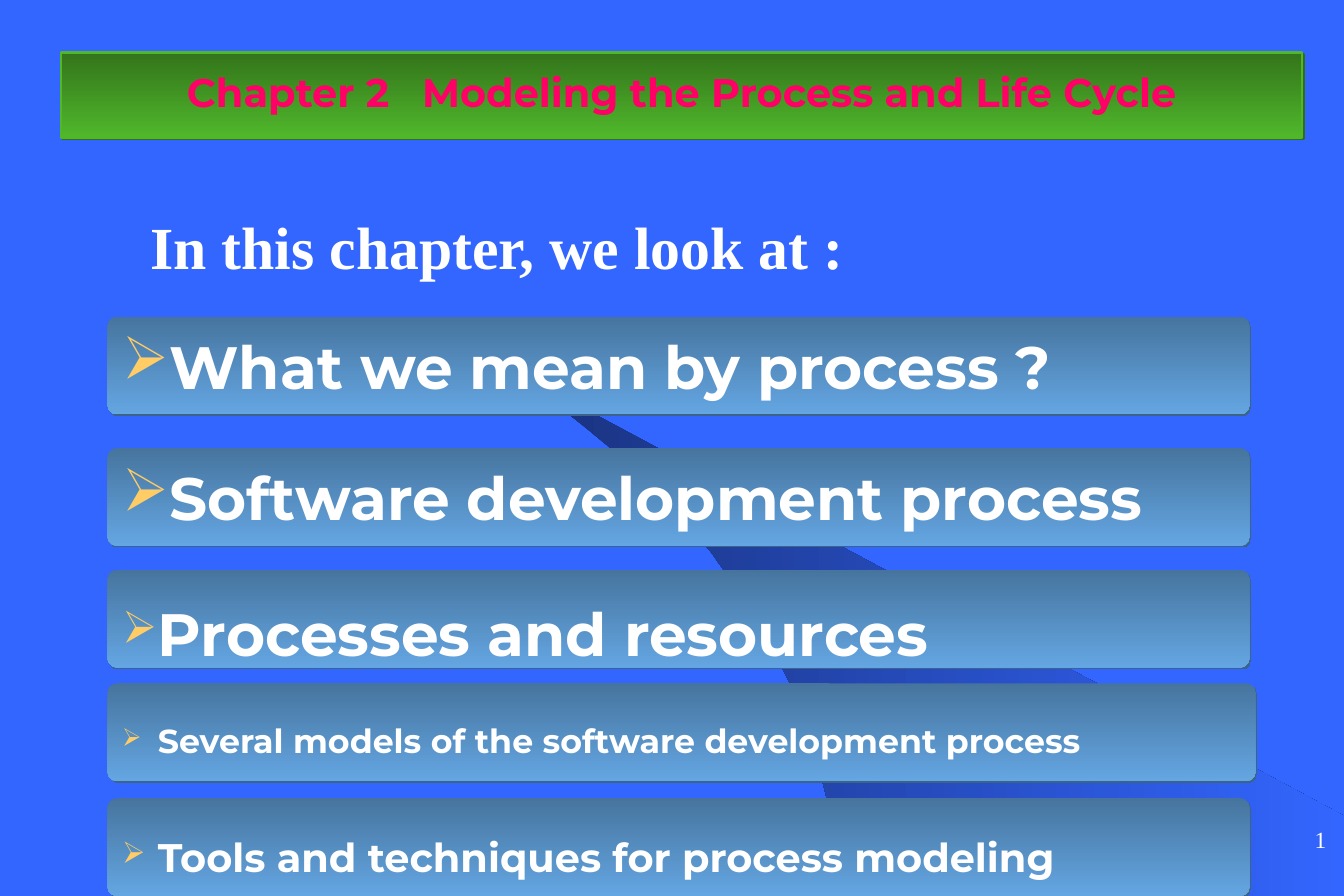
import dataclasses
import typing

import lxml.etree
import pptx
import pptx.dml.color
import pptx.enum.shapes
import pptx.enum.text
import pptx.oxml.ns
import pptx.util

Pt = pptx.util.Pt
qn = pptx.oxml.ns.qn
ALIGN = pptx.enum.text.PP_ALIGN
ANCHOR = pptx.enum.text.MSO_ANCHOR


@dataclasses.dataclass(frozen=True)
class Theme:
    background: str = "3366FF"
    ray: tuple[str, str] = ("182F76", "3366FF")
    banner: tuple[str, str] = ("33741B", "50B72B")
    banner_shadow: str = "306E1A"
    bar: tuple[str, str] = ("46749E", "64A6E2")
    bar_shadow: str = "3C6488"
    title: str = "FF0066"
    text: str = "FFFFFF"
    bullet: str = "FFCC66"
    sans: str = "Montserrat"
    serif: str = "Times New Roman"
    number_size: float = 14
    detail_size: float = 20
    title_size: float = 24
    topic_size: float = 36


@dataclasses.dataclass(frozen=True)
class TopicBar:
    text: str
    top: float
    size: float
    width: float = 688.3
    line_spacing: float = 1.4
    bullet_percent: int = 75


THEME = Theme()
CORNER = 0.097
BAR_LEFT, BAR_HEIGHT = 64.8, 59
TOPICS = (
    TopicBar("What we mean by process ?", 190.8, THEME.topic_size, line_spacing=1, bullet_percent=100),
    TopicBar("Software development process", 270, THEME.topic_size, line_spacing=1, bullet_percent=100),
    TopicBar("Processes and resources", 343.4, THEME.topic_size),
    TopicBar("Several models of the software development process", 411.8, THEME.detail_size, width=691.9),
    TopicBar("Tools and techniques for process modeling", 481, THEME.title_size),
)
RAY_POINTS = (
    (504, 540), (810, 540), (810, 491.8), (290.2, 213.1), (312.5, 228.2), (331.2, 240.5),
    (352.1, 257), (372.2, 273.6), (401.8, 302.4), (428.4, 332.6), (447.1, 359.3),
    (463.7, 386.6), (477.4, 414.7), (486.7, 439.2), (493.2, 460.8), (499.7, 487.4), (502.6, 510.5),
)


def rgb(value: str) -> pptx.dml.color.RGBColor:
    return pptx.dml.color.RGBColor.from_string(value)


def add_child(parent: typing.Any, tag: str, **attributes: str) -> typing.Any:
    return lxml.etree.SubElement(parent, qn(tag), attributes)


def place(shape: typing.Any, left: float, top: float, width: float, height: float) -> None:
    shape.left, shape.top, shape.width, shape.height = Pt(left), Pt(top), Pt(width), Pt(height)


def fill_gradient(shape: typing.Any, colors: tuple[str, str], angle: float) -> None:
    shape.fill.gradient()
    shape.fill.gradient_angle = angle
    for stop, color, position in zip(shape.fill.gradient_stops, colors, (0, 1)):
        stop.color.rgb = rgb(color)
        stop.position = position


def set_shadow(shape: typing.Any, color: str) -> None:
    shape.shadow.inherit = False
    effects = shape._element.spPr.find(qn("a:effectLst"))
    shadow = add_child(effects, "a:outerShdw", blurRad="0", dist=str(Pt(1.4)), dir="2700000",
                       algn="tl", rotWithShape="0")
    add_child(shadow, "a:srgbClr", val=color)


def add_bullet(paragraph: typing.Any, percent: int) -> None:
    properties = paragraph._p.get_or_add_pPr()
    properties.set("marL", str(Pt(21.6)))
    properties.set("indent", str(-Pt(21.6)))
    add_child(add_child(properties, "a:buClr"), "a:srgbClr", val=THEME.bullet)
    add_child(properties, "a:buSzPct", val=str(percent * 1000))
    add_child(properties, "a:buChar", char="➢")


def remove_bullet(paragraph: typing.Any) -> None:
    properties = paragraph._p.get_or_add_pPr()
    properties.set("marL", "0")
    properties.set("indent", "0")
    add_child(properties, "a:buNone")


def write_text(shape: typing.Any, *parts: str, size: float, color: str = THEME.text,
               font: str = THEME.sans, bold: bool = True, align: ALIGN = ALIGN.LEFT,
               anchor: ANCHOR = ANCHOR.MIDDLE, line_spacing: float = 1,
               insets: tuple[float, float] = (7.2, 0), bullet_percent: int = 0,
               gap: float = 0) -> None:
    frame = shape.text_frame
    frame.auto_size = pptx.enum.text.MSO_AUTO_SIZE.NONE
    frame.word_wrap = True
    frame.vertical_anchor = anchor
    frame.margin_left = frame.margin_right = Pt(insets[0])
    frame.margin_top = frame.margin_bottom = Pt(insets[1])
    paragraph = frame.paragraphs[0]
    if bullet_percent:
        add_bullet(paragraph, bullet_percent)
    else:
        remove_bullet(paragraph)
    paragraph.alignment = align
    paragraph.line_spacing = line_spacing
    paragraph.space_before = Pt(0)
    for part in parts:
        run = paragraph.add_run()
        run.text = part
        run.font.name = font
        run.font.size = Pt(size)
        run.font.bold = bold
        run.font.color.rgb = rgb(color)
        if part == " ":
            run._r.get_or_add_rPr().set("spc", str(round(gap * 100)))


def add_ray(slide: typing.Any) -> None:
    points = [(Pt(x), Pt(y)) for x, y in RAY_POINTS]
    builder = slide.shapes.build_freeform(*points[0])
    builder.add_line_segments(points[1:], close=True)
    ray = builder.convert_to_shape()
    fill_gradient(ray, THEME.ray, 0)
    ray.line.fill.background()
    ray.shadow.inherit = False
    slide.shapes._spTree.insert(2, ray._element)


def format_title(title: typing.Any) -> None:
    place(title, 36.7, 31.7, 748.1, 51.1)
    properties = title._element.spPr
    geometry = add_child(properties, "a:prstGeom", prst="roundRect")
    guides = add_child(geometry, "a:avLst")
    add_child(guides, "a:gd", name="adj", fmla=f"val {round(CORNER * 100000)}")
    fill_gradient(title, THEME.banner, 270)
    title.line.color.rgb = rgb(THEME.banner[1])
    title.line.width = Pt(1.5)
    set_shadow(title, THEME.banner_shadow)
    write_text(title, "Chapter 2", " ", "Modeling the Process and Life Cycle", size=THEME.title_size,
               color=THEME.title, align=ALIGN.CENTER, line_spacing=0.9, gap=13)


def add_topic(slide: typing.Any, topic: TopicBar) -> None:
    bar = slide.shapes.add_shape(pptx.enum.shapes.MSO_SHAPE.ROUNDED_RECTANGLE, Pt(BAR_LEFT),
                                 Pt(topic.top), Pt(topic.width), Pt(BAR_HEIGHT))
    bar.adjustments[0] = CORNER
    fill_gradient(bar, THEME.bar, 270)
    bar.line.fill.background()
    set_shadow(bar, THEME.bar_shadow)
    write_text(bar, topic.text, size=topic.size, line_spacing=topic.line_spacing,
               bullet_percent=topic.bullet_percent)


def main() -> None:
    presentation = pptx.Presentation()
    presentation.slide_width, presentation.slide_height = Pt(810), Pt(540)
    slide = presentation.slides.add_slide(presentation.slide_layouts[1])
    slide.background.fill.solid()
    slide.background.fill.fore_color.rgb = rgb(THEME.background)
    add_ray(slide)
    format_title(slide.shapes.title)
    introduction = slide.placeholders[1]
    place(introduction, 76.3, 105.8, 459.4, 62.6)
    write_text(introduction, "In this chapter, we look at :", size=THEME.topic_size, font=THEME.serif,
               anchor=ANCHOR.TOP, line_spacing=1.4, insets=(14.4, 3.6))
    for topic in TOPICS:
        add_topic(slide, topic)
    number = slide.shapes.add_textbox(Pt(637.9), Pt(483.8), Pt(168.5), Pt(30.2))
    write_text(number, "1", size=THEME.number_size, font=THEME.serif, bold=False,
               align=ALIGN.RIGHT, anchor=ANCHOR.BOTTOM)
    presentation.save("out.pptx")


if __name__ == "__main__":
    main()
